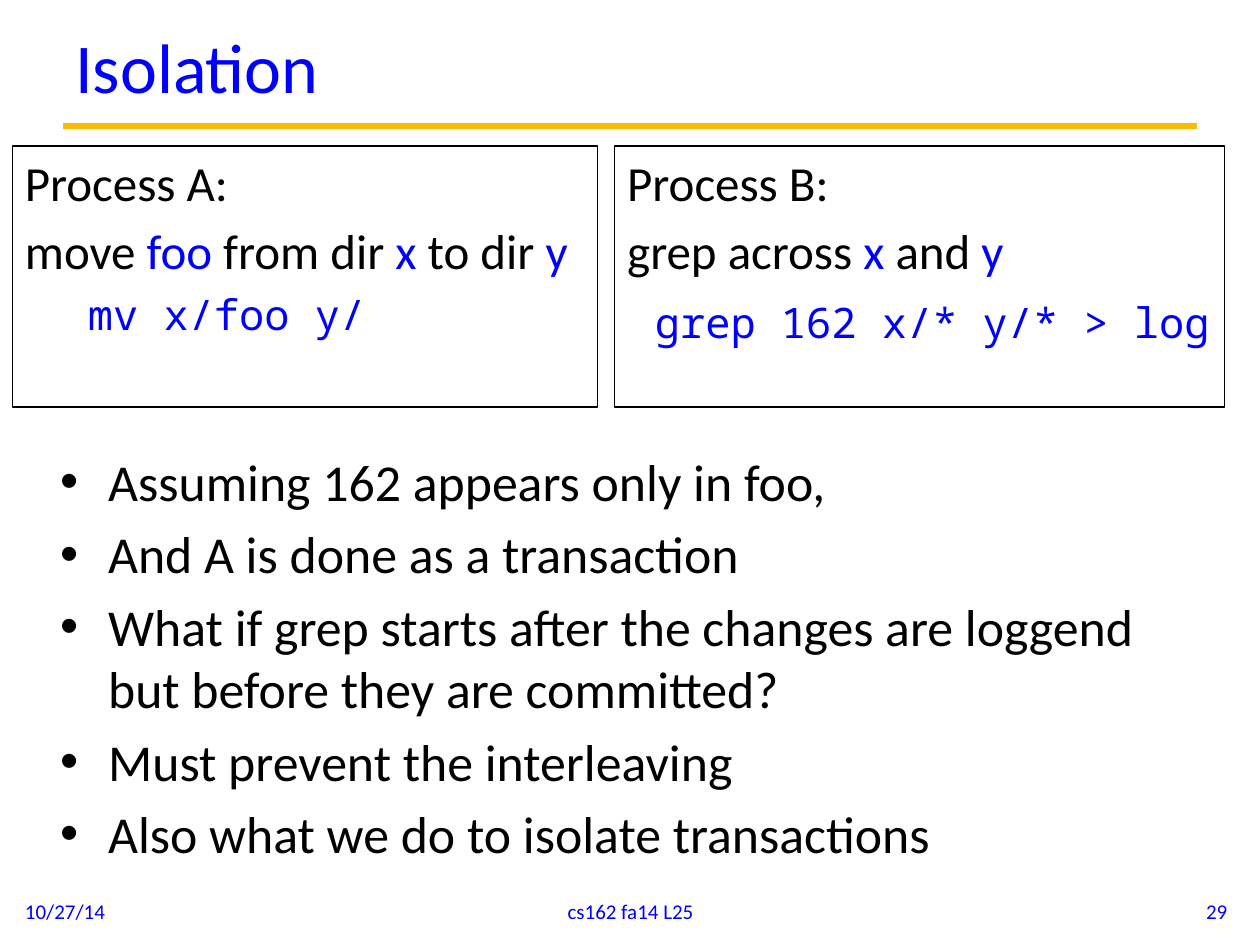
from pptx import Presentation, util as u
from pptx.dml.color import RGBColor
from pptx.enum import shapes, text
from pptx.oxml.ns import qn
from lxml import etree

Inches, Pt = u.Inches, u.Pt
BLACK, BLUE, GOLD = "000000", "0000FF", "FBBA03"
SANS, MONO = "Calibri", "Noto Sans Mono"
LEFT, CENTER, RIGHT = (text.PP_ALIGN.LEFT, text.PP_ALIGN.CENTER,
                       text.PP_ALIGN.RIGHT)


def rgb(value):
    return RGBColor.from_string(value)


def style(font, size, color, face=SANS):
    font.size, font.name = Pt(size), face
    font.color.rgb = rgb(color)


def set_indent(paragraph, margin, first, bullet=None):
    props = paragraph._p.get_or_add_pPr()
    props.set("marL", str(Inches(margin)))
    props.set("indent", str(Inches(first)))
    if bullet:
        etree.SubElement(props, qn("a:buFont")).set("typeface", "Arial")
        etree.SubElement(props, qn("a:buChar")).set("char", bullet)


def next_paragraph(frame, index):
    return frame.paragraphs[0] if index == 0 else frame.add_paragraph()


def add_frame(slide, box, anchor):
    frame = slide.shapes.add_textbox(*map(Inches, box)).text_frame
    frame.word_wrap = True
    frame.vertical_anchor = anchor
    return frame


def add_label(slide, box, words, size, align=LEFT):
    """One blue line, centred vertically in its box."""
    line = add_frame(slide, box, text.MSO_ANCHOR.MIDDLE).paragraphs[0]
    line.text, line.alignment = words, align
    style(line.font, size, BLUE)


def add_header(slide, box, title):
    left, top, width, height = box
    rule = slide.shapes.add_connector(
        shapes.MSO_CONNECTOR.STRAIGHT, Inches(left), Inches(top + height),
        Inches(left + width), Inches(top + height))
    rule.line.color.rgb = rgb(GOLD)
    rule.line.width = Pt(3.75)
    etree.SubElement(rule._element.spPr, qn("a:effectLst"))
    add_label(slide, box, title, 40)


def add_process(slide, box, name, task, command, indent, gap):
    """Framed process: name, task with blue operands, shell command."""
    panel = slide.shapes.add_shape(shapes.MSO_SHAPE.RECTANGLE,
                                   *map(Inches, box))
    panel.shadow.inherit = False
    panel.fill.background()
    panel.line.color.rgb = rgb(BLACK)
    panel.line.width = Pt(0.75)
    frame = panel.text_frame
    frame.word_wrap = True
    frame.vertical_anchor = text.MSO_ANCHOR.TOP

    # Name and task; every second piece of the task is an operand
    for index, pieces in enumerate([[name], task]):
        line = next_paragraph(frame, index)
        line.alignment, line.space_before = LEFT, Pt(5.6)
        set_indent(line, 0.38, -0.38)
        for number, piece in enumerate(pieces):
            run = line.add_run()
            run.text = piece
            style(run.font, 28, BLUE if number % 2 else BLACK)

    # Shell command
    line = frame.add_paragraph()
    line.text, line.alignment, line.space_before = command, LEFT, Pt(gap)
    set_indent(line, *indent)
    style(line.font, 24, BLUE, MONO)


def add_bullets(slide, box, points):
    frame = add_frame(slide, box, text.MSO_ANCHOR.TOP)
    for index, point in enumerate(points):
        line = next_paragraph(frame, index)
        line.text, line.space_before = point, Pt(5.9)
        set_indent(line, 0.38, -0.38, "•")
        style(line.font, 29.6, BLACK)


def add_footer(slide, top, height):
    for left, width, words, align in [
            (0.1, 2.33, "10/27/14", LEFT),
            (3.42, 3.17, "cs162 fa14 L25", CENTER),
            (7.51, 2.33, "29", RIGHT)]:
        add_label(slide, (left, top, width, height), words, 12, align)


def main():
    deck = Presentation()
    deck.slide_width, deck.slide_height = Inches(10), Inches(7.5)
    slide = deck.slides.add_slide(deck.slide_layouts[6])

    add_header(slide, (0.5, 0.04, 9, 0.96), "Isolation")
    add_bullets(slide, (0.38, 3.52, 9, 3.07), [
        "Assuming 162 appears only in foo,",
        "And A is done as a transaction",
        "What if grep starts after the changes are loggend "
        "but before they are committed?",
        "Must prevent the interleaving",
        "Also what we do to isolate transactions"])
    add_footer(slide, 7.03, 0.4)
    add_process(slide, (0.1, 1.16, 4.64, 2.07), "Process A:",
                ["move ", "foo", " from dir ", "x", " to dir ", "y"],
                "mv x/foo y/", (0.81, -0.31), 4.8)
    add_process(slide, (4.88, 1.16, 4.84, 2.07), "Process B:",
                ["grep across ", "x", " and ", "y"],
                "grep 162 x/* y/* > log", (0.38, -0.16), 9.5)
    deck.save("out.pptx")


if __name__ == "__main__":
    main()
